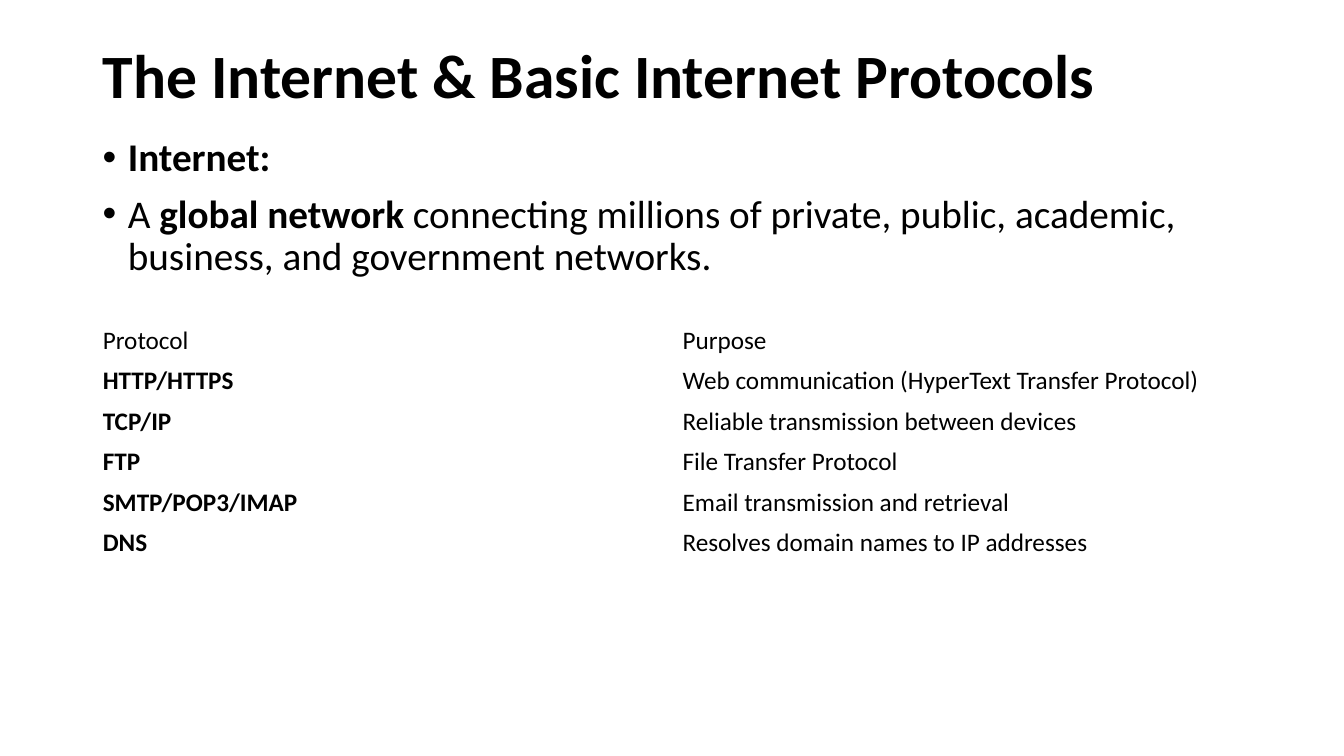
"""Build the slide on the Internet and its basic protocols."""
from pptx import Presentation
from pptx.dml.color import RGBColor
from pptx.enum.text import MSO_ANCHOR as Anchor, MSO_AUTO_SIZE as AutoSize, PP_ALIGN as Align
from pptx.oxml.ns import qn
from pptx.util import Inches, Pt
from lxml import etree


def set_font(paragraph, size, bold=None):
    paragraph.font.name = "Calibri"
    paragraph.font.size = Pt(size)
    paragraph.font.bold = bold
    paragraph.font.color.rgb = RGBColor.from_string("000000")


LEFT, WIDTH = Inches(0.92), Inches(11.5)
ROW_HEIGHT = 0.4
NO_STYLE = "{2D5ABB26-0587-4C30-8999-92F81FD0307C}"

presentation = Presentation()
presentation.slide_width = Inches(13.33)
presentation.slide_height = Inches(7.5)
slide = presentation.slides.add_slide(presentation.slide_layouts[5])

title = slide.shapes.title
title.left, title.top, title.width, title.height = LEFT, Inches(0.4), WIDTH, Inches(1.45)
title.text_frame.text = "The Internet & Basic Internet Protocols"
title.text_frame.vertical_anchor = Anchor.TOP
title.text_frame.auto_size = AutoSize.NONE
paragraph = title.text_frame.paragraphs[0]
paragraph.alignment = Align.LEFT
paragraph.line_spacing = 0.9
set_font(paragraph, 44, True)

bullets = [
    [("Internet:", True)],
    [
        ("A ", False),
        ("global network", True),
        (" connecting millions of private, public, academic, business, and government networks.", False),
    ],
]
body = slide.shapes.add_textbox(LEFT, Inches(1.32), WIDTH, Inches(5.44))
body.text_frame.word_wrap = True
for index, runs in enumerate(bullets):
    paragraph = body.text_frame.paragraphs[0] if index == 0 else body.text_frame.add_paragraph()
    paragraph.line_spacing = 0.9
    paragraph.space_before = Pt(10)
    set_font(paragraph, 28)
    for text, bold in runs:
        run = paragraph.add_run()
        run.text = text
        run.font.bold = bold
    properties = paragraph._p.get_or_add_pPr()
    properties.set("marL", str(Inches(0.25)))
    properties.set("indent", str(Inches(-0.25)))
    bullet_font = etree.Element(qn("a:buFont"), typeface="Arial")
    bullet_mark = etree.Element(qn("a:buChar"), char="•")
    properties.find(qn("a:defRPr")).addprevious(bullet_font)
    bullet_font.addnext(bullet_mark)

protocols = [
    ("Protocol", "Purpose"),
    ("HTTP/HTTPS", "Web communication (HyperText Transfer Protocol)"),
    ("TCP/IP", "Reliable transmission between devices"),
    ("FTP", "File Transfer Protocol"),
    ("SMTP/POP3/IMAP", "Email transmission and retrieval"),
    ("DNS", "Resolves domain names to IP addresses"),
]
frame = slide.shapes.add_table(
    len(protocols), 2, LEFT, Inches(3.18), WIDTH, Inches(ROW_HEIGHT * len(protocols))
)
table = frame.table
table.first_row = False
table.horz_banding = False
table._tbl.tblPr.find(qn("a:tableStyleId")).text = NO_STYLE
for row_index, texts in enumerate(protocols):
    for column_index, text in enumerate(texts):
        cell = table.cell(row_index, column_index)
        cell.text = text
        cell.fill.background()
        cell.vertical_anchor = Anchor.MIDDLE
        set_font(cell.text_frame.paragraphs[0], 18, row_index > 0 and column_index == 0)

presentation.save("out.pptx")
